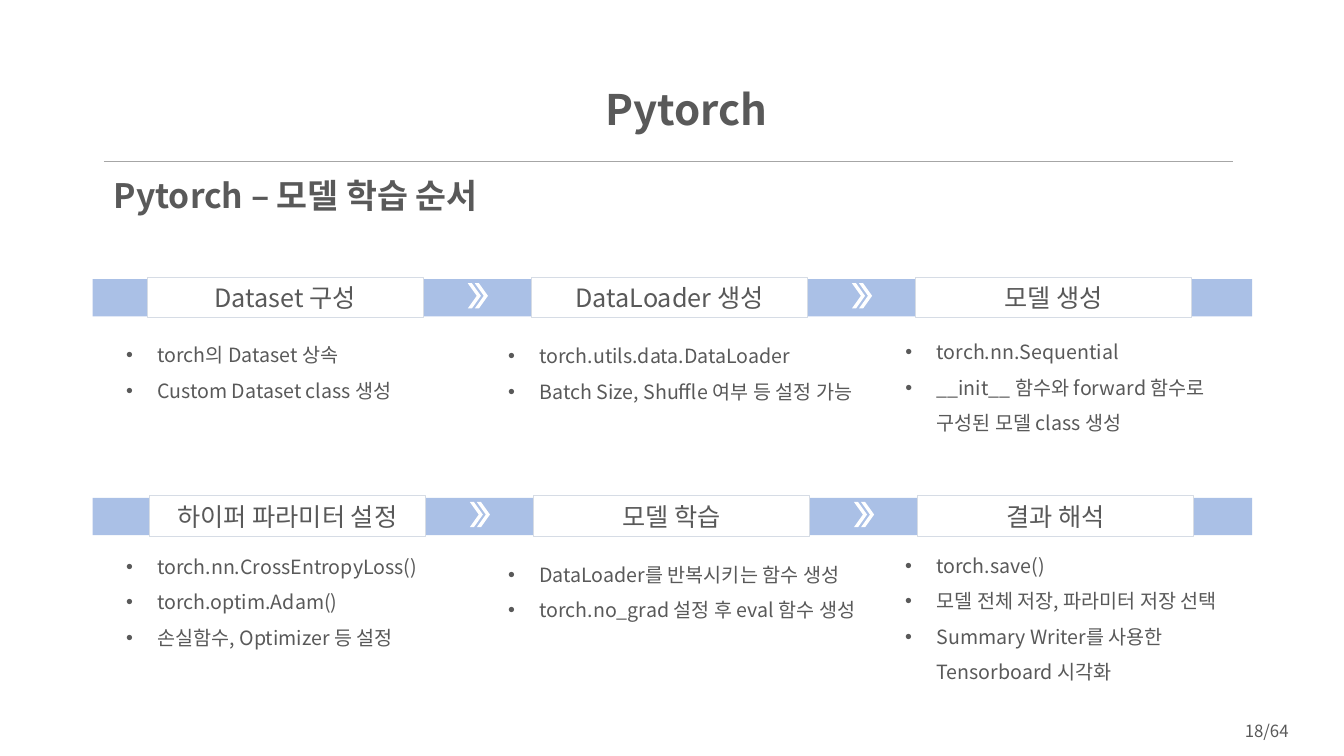
"""Build the slide that shows the six steps of training a model."""
from dataclasses import dataclass

from lxml import etree
from pptx import Presentation
from pptx.dml.color import RGBColor
from pptx.enum.shapes import MSO_CONNECTOR, MSO_SHAPE
from pptx.enum.text import MSO_ANCHOR, MSO_AUTO_SIZE, PP_ALIGN
from pptx.oxml.ns import qn
from pptx.util import Inches, Pt

LEFT, CENTER, RIGHT = PP_ALIGN.LEFT, PP_ALIGN.CENTER, PP_ALIGN.RIGHT
TOP, MIDDLE = MSO_ANCHOR.TOP, MSO_ANCHOR.MIDDLE
NO_FIT = MSO_AUTO_SIZE.NONE
RECTANGLE, CHEVRON = MSO_SHAPE.RECTANGLE, MSO_SHAPE.CHEVRON
STRAIGHT = MSO_CONNECTOR.STRAIGHT

FONT = "Noto Sans CJK KR"
GREY, BLUE, WHITE, EDGE, RULE = "595959", "AAC0E6", "FFFFFF", "D6DCE5", "A6A6A6"
COMPARISON_LAYOUT = 4
COLUMN_STEP = 3.81
HEADER_LEFT, CHEVRON_LEFT, CHEVRON_STEP = 1.46, 4.64, 0.07
BULLET_INDENT = 0.31


@dataclass(frozen=True)
class Area:
    left: float
    top: float
    width: float
    height: float

    def lengths(self) -> tuple:
        return tuple(map(Inches, (self.left, self.top, self.width, self.height)))


@dataclass(frozen=True)
class Step:
    header: str
    area: Area
    items: tuple[str, ...]


@dataclass(frozen=True)
class Row:
    top: float
    shift: float
    steps: tuple[Step, ...]


ROWS = (
    Row(2.77, 0, (
        Step("Dataset 구성", Area(1.15, 3.24, 3.69, 0.77),
             ("torch의 Dataset 상속", "Custom Dataset class 생성")),
        Step("DataLoader 생성", Area(4.94, 3.25, 3.85, 0.76),
             ("torch.utils.data.DataLoader", "Batch Size, Shuffle 여부 등 설정 가능")),
        Step("모델 생성", Area(8.88, 3.21, 3.18, 1.13),
             ("torch.nn.Sequential", "__init__ 함수와 forward 함수로 구성된 모델 class 생성")),
    )),
    Row(4.94, 0.02, (
        Step("하이퍼 파라미터 설정", Area(1.15, 5.34, 3.69, 1.13),
             ("torch.nn.CrossEntropyLoss()", "torch.optim.Adam()",
              "손실함수, Optimizer 등 설정")),
        Step("모델 학습", Area(4.94, 5.42, 3.81, 0.76),
             ("DataLoader를 반복시키는 함수 생성", "torch.no_grad 설정 후 eval 함수 생성")),
        Step("결과 해석", Area(8.88, 5.33, 3.81, 1.47),
             ("torch.save()", "모델 전체 저장, 파라미터 저장 선택",
              "Summary Writer를 사용한 Tensorboard 시각화")),
    )),
)


def paint(color_format, color: str) -> None:
    color_format.rgb = RGBColor.from_string(color)


def apply(target, values: dict) -> None:
    for name, value in values.items():
        setattr(target, name, value)


def add_bullet(para) -> None:
    properties = para._p.get_or_add_pPr()
    indent = Inches(BULLET_INDENT)
    properties.set("marL", str(indent))
    properties.set("indent", str(-indent))
    etree.SubElement(properties, qn("a:buFont")).set("typeface", "Arial")
    etree.SubElement(properties, qn("a:buChar")).set("char", "•")


def write(shape, lines: tuple[str, ...], size: float, align=LEFT, anchor=TOP,
          bold: bool = False, spacing: float = 1.0, bullets: bool = False) -> None:
    frame = shape.text_frame
    apply(frame, {"word_wrap": True, "auto_size": NO_FIT, "vertical_anchor": anchor})
    for index, line in enumerate(lines):
        para = frame.add_paragraph() if index else frame.paragraphs[0]
        apply(para, {"alignment": align, "line_spacing": spacing,
                     "space_before": Pt(0), "space_after": Pt(0)})
        if bullets:
            add_bullet(para)
        span = para.add_run()
        span.text = line
        apply(span.font, {"name": FONT, "size": Pt(size), "bold": bold})
        paint(span.font.color, GREY)
        east_asian = etree.SubElement(span._r.get_or_add_rPr(), qn("a:ea"))
        east_asian.set("typeface", FONT)


def place(shape, area: Area) -> None:
    apply(shape, dict(zip(("left", "top", "width", "height"), area.lengths())))


def add_block(page, kind, area: Area, fill: str, edge: str = ""):
    block = page.shapes.add_shape(kind, *area.lengths())
    block.shadow.inherit = False
    block.fill.solid()
    paint(block.fill.fore_color, fill)
    if edge:
        paint(block.line.color, edge)
        block.line.width = Pt(0.75)
    else:
        block.line.fill.background()
    return block


def add_rule(page) -> None:
    rule = page.shapes.add_connector(
        STRAIGHT, Inches(1.03), Inches(1.6), Inches(12.23), Inches(1.6))
    paint(rule.line.color, RULE)
    rule.line.width = Pt(0.25)
    etree.SubElement(rule._element.spPr, qn("a:effectLst"))


def add_text(page, area: Area, text: str, size: float, **style) -> None:
    write(page.shapes.add_textbox(*area.lengths()), (text,), size, **style)


def add_row(page, row: Row, list_holders) -> None:
    add_block(page, RECTANGLE, Area(0.92, row.top, 11.5, 0.37), BLUE)
    for column, step in enumerate(row.steps):
        offset = column * COLUMN_STEP + row.shift
        header = add_block(page, RECTANGLE,
                           Area(HEADER_LEFT + offset, row.top - 0.02, 2.74, 0.4),
                           WHITE, EDGE)
        write(header, (step.header,), 18, align=CENTER, anchor=MIDDLE)
        if column < len(row.steps) - 1:
            for index in range(2):
                left = CHEVRON_LEFT + offset + index * CHEVRON_STEP
                chevron = add_block(page, CHEVRON,
                                    Area(left, row.top + 0.04, 0.13, 0.25), WHITE)
                chevron.adjustments[0] = 0.685
        box = next(list_holders, None)
        if box is None:
            box = page.shapes.add_textbox(*step.area.lengths())
        place(box, step.area)
        write(box, step.items, 14, spacing=1.5, bullets=True)


def main() -> None:
    deck = Presentation()
    apply(deck, {"slide_width": Inches(13.33), "slide_height": Inches(7.5)})
    page = deck.slides.add_slide(deck.slide_layouts[COMPARISON_LAYOUT])
    title, *bodies = page.placeholders
    place(title, Area(2.56, 0.76, 8.5, 0.71))
    write(title, ("Pytorch",), 30, align=CENTER, anchor=MIDDLE, bold=True, spacing=0.9)
    add_rule(page)
    add_text(page, Area(1.03, 1.69, 7.46, 0.5), "Pytorch – 모델 학습 순서", 24, bold=True)
    list_holders = iter(bodies)
    for row in ROWS:
        add_row(page, row, list_holders)
    add_text(page, Area(9.88, 7.1, 3, 0.4), "18/64", 12, align=RIGHT)
    deck.save("out.pptx")


if __name__ == "__main__":
    main()
